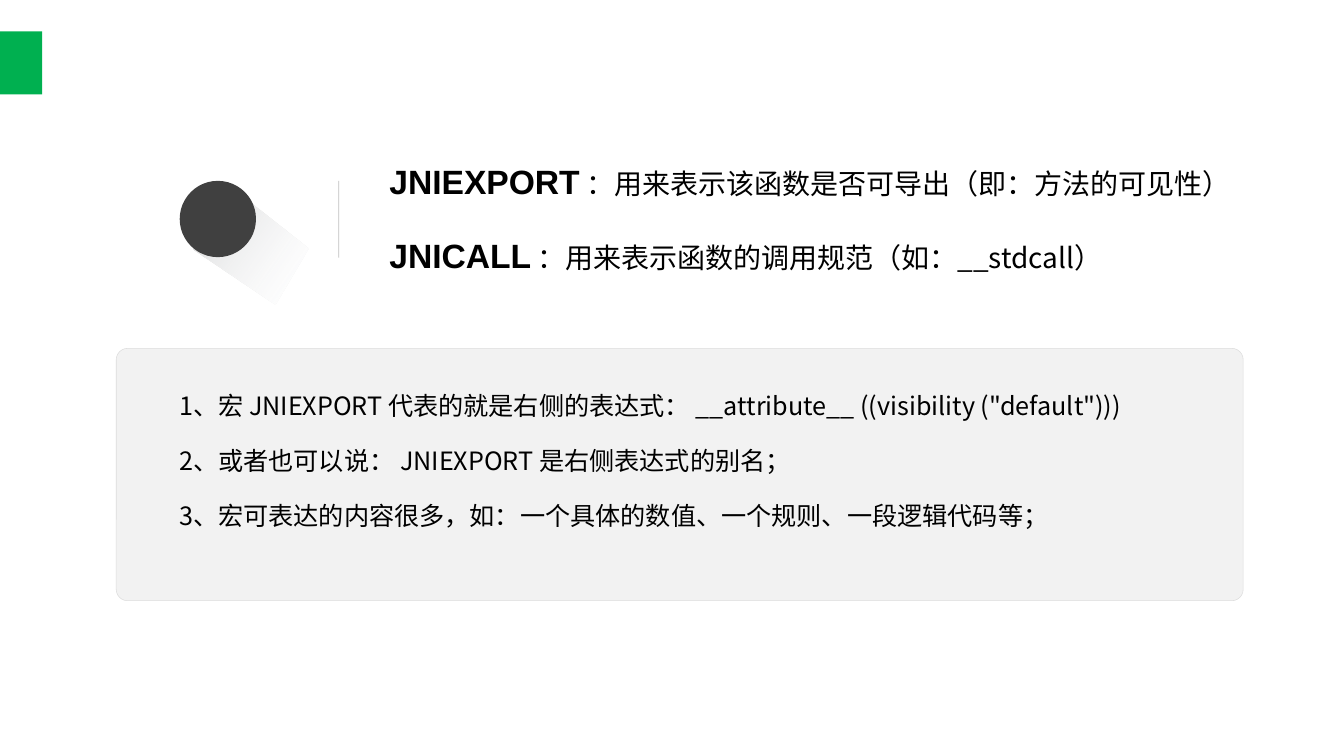
import lxml.etree
import pptx
import pptx.dml.color
import pptx.enum.dml
import pptx.enum.shapes
import pptx.enum.text
import pptx.oxml.ns
import pptx.util

Inches = pptx.util.Inches
Pt = pptx.util.Pt
RGBColor = pptx.dml.color.RGBColor
MSO_SHAPE = pptx.enum.shapes.MSO_SHAPE
qn = pptx.oxml.ns.qn

GREEN = RGBColor(0x00, 0xB0, 0x50)
DARK = RGBColor(0x40, 0x40, 0x40)
GRAY = RGBColor(0x80, 0x80, 0x80)
PANEL = RGBColor(0xF2, 0xF2, 0xF2)
BORDER = RGBColor(0xDD, 0xDD, 0xDD)
BLACK = RGBColor(0x00, 0x00, 0x00)

CJK = "Noto Sans CJK SC"
TERM = {"name": "Arial", "size": Pt(45.4), "bold": True}
COLON = {"name": "Calibri", "size": Pt(37.8), "bold": False}
MEANING = {"name": CJK, "size": Pt(37.8), "bold": False}
NOTE = {"name": CJK, "size": Pt(34), "bold": False}

DEFINITIONS = [
    ("JNIEXPORT", "用来表示该函数是否可导出（即：方法的可见性）"),
    ("JNICALL", "用来表示函数的调用规范（如：__stdcall）"),
]
NOTES = [
    '1、宏 JNIEXPORT 代表的就是右侧的表达式： __attribute__ ((visibility ("default")))',
    "2、或者也可以说： JNIEXPORT 是右侧表达式的别名；",
    "3、宏可表达的内容很多，如：一个具体的数值、一个规则、一段逻辑代码等；",
]
LONG_SHADOW = [(363, 468), (422, 343), (578, 466), (516, 571)]
SHADOW_STOPS = [(0, "F6F7FB", 0), (65, "CCCDCE", 40), (100, "BFBFBF", 100)]


class SlideBuilder:
    def __init__(self, slide):
        self.s = slide

    def shape(self, kind, box, fill, line=None, radius=None):
        sp = self.s.shapes.add_shape(kind, *map(Inches, box))
        sp.shadow.inherit = False
        sp.fill.solid()
        sp.fill.fore_color.rgb = fill
        if line is None:
            sp.line.fill.background()
        else:
            sp.line.color.rgb = line
            sp.line.width = Pt(0.75)
        if radius is not None:
            sp.adjustments[0] = radius

    def gradient_outline(self, points, stops, angle):
        fb = self.s.shapes.build_freeform(*points[0], scale=Inches(0.01))
        fb.add_line_segments(points[1:], close=True)
        sp = fb.convert_to_shape()
        sp.shadow.inherit = False
        sp.line.fill.background()
        sp.fill.gradient()
        sp.fill.gradient_angle = 360 - angle
        gs_list = sp._element.spPr.find(qn("a:gradFill")).find(qn("a:gsLst"))
        for gs in list(gs_list):
            gs_list.remove(gs)
        for pos, color, alpha in stops:
            gs = lxml.etree.SubElement(gs_list, qn("a:gs"), pos=str(pos * 1000))
            clr = lxml.etree.SubElement(gs, qn("a:srgbClr"), val=color)
            lxml.etree.SubElement(clr, qn("a:alpha"), val=str(alpha * 1000))

    def line(self, start, end, color, alpha):
        cx = self.s.shapes.add_connector(
            pptx.enum.shapes.MSO_CONNECTOR.STRAIGHT, *map(Inches, start + end))
        cx.line.color.rgb = color
        cx.line.width = Pt(1)
        spPr = cx._element.spPr
        clr = next(spPr.iter(qn("a:srgbClr")))
        lxml.etree.SubElement(clr, qn("a:alpha"), val=str(alpha * 1000))
        lxml.etree.SubElement(spPr, qn("a:effectLst"))

    def text(self, sp, box, paragraphs, gap, spacing, inset):
        self.s.shapes._spTree.append(sp._element)
        sp.left, sp.top, sp.width, sp.height = map(Inches, box)
        tf = sp.text_frame
        frame_format = {
            "word_wrap": True,
            "auto_size": pptx.enum.text.MSO_AUTO_SIZE.NONE,
            "vertical_anchor": pptx.enum.text.MSO_ANCHOR.TOP,
            "margin_left": Inches(inset[0]), "margin_right": Inches(inset[0]),
            "margin_top": Inches(inset[1]), "margin_bottom": Inches(inset[1]),
        }
        for name, value in frame_format.items():
            setattr(tf, name, value)
        for i, runs in enumerate(paragraphs):
            p = tf.add_paragraph() if i else tf.paragraphs[0]
            pPr = p._p.get_or_add_pPr()
            pPr.set("marL", "0")
            pPr.set("indent", "0")
            lxml.etree.SubElement(pPr, qn("a:buNone"))
            p.alignment = pptx.enum.text.PP_ALIGN.LEFT
            p.line_spacing = spacing
            p.space_before = Pt(gap if i else 0)
            p.space_after = Pt(0)
            for content, style in runs:
                r = p.add_run()
                r.text = content
                for name, value in style.items():
                    setattr(r.font, name, value)
                r.font.color.rgb = BLACK
                lxml.etree.SubElement(r.font._element, qn("a:ea"), typeface=CJK)


def main():
    prs = pptx.Presentation()
    prs.slide_width, prs.slide_height = Inches(25.2), Inches(14.17)
    s = prs.slides.add_slide(prs.slide_layouts[1])
    b = SlideBuilder(s)

    b.shape(MSO_SHAPE.RECTANGLE, (0, 0.59, 0.79, 1.18), GREEN)
    b.gradient_outline(LONG_SHADOW, SHADOW_STOPS, 215)
    b.shape(MSO_SHAPE.OVAL, (3.37, 3.39, 1.43, 1.43), DARK)
    b.line((6.35, 3.39), (6.35, 4.83), GRAY, 49)
    b.text(s.shapes.title, (7.2, 2.96, 16.71, 2.26),
           [[(term, TERM), (" ：", COLON), (meaning, MEANING)]
            for term, meaning in DEFINITIONS],
           gap=46, spacing=1.0, inset=(0.1, 0.05))
    b.shape(MSO_SHAPE.ROUNDED_RECTANGLE, (2.18, 6.53, 21.13, 4.73),
            PANEL, BORDER, 0.045)
    b.text(s.placeholders[1], (3.27, 7.29, 20.04, 3.05),
           [[(note, NOTE)] for note in NOTES],
           gap=37.4, spacing=0.9, inset=(0.09, 0.09))

    prs.save("out.pptx")


if __name__ == "__main__":
    main()
